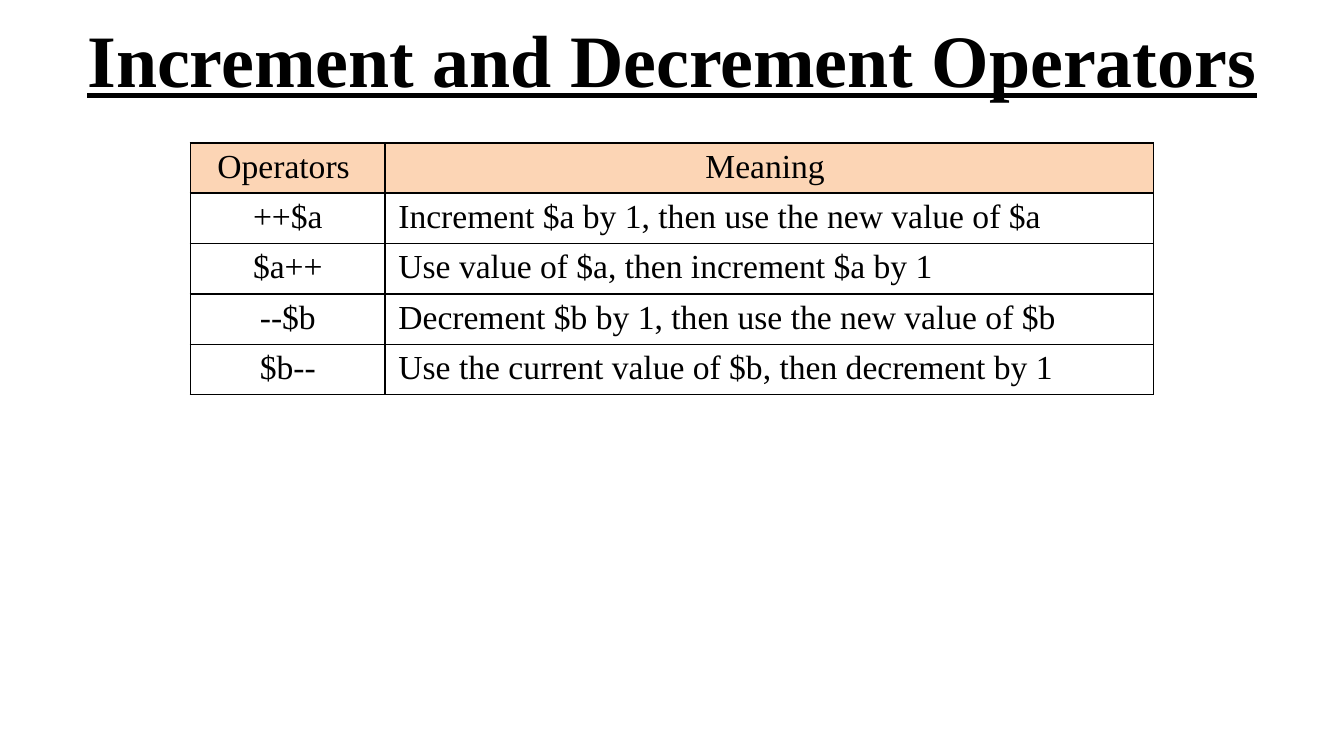
import lxml.etree
import pptx
import pptx.dml.color
import pptx.enum.text
import pptx.oxml.ns
import pptx.util

Cm = pptx.util.Cm
Pt = pptx.util.Pt
ALIGN = pptx.enum.text.PP_ALIGN
ANCHOR = pptx.enum.text.MSO_ANCHOR

BLACK = pptx.dml.color.RGBColor(0x00, 0x00, 0x00)
PEACH = pptx.dml.color.RGBColor(0xFC, 0xD5, 0xB5)
FONT = "Times New Roman"

HEADING = "Increment and Decrement Operators"
OPERATORS = [
    ("Operators ", "Meaning "),
    ("++$a", "Increment $a by 1, then use the new value of $a"),
    ("$a++", "Use value of $a, then increment $a by 1"),
    ("--$b", "Decrement $b by 1, then use the new value of $b"),
    ("$b--", "Use the current value of $b, then decrement by 1"),
]


def write(frame, text, size, align, bold=False, underline=False):
    frame.text = text
    paragraph = frame.paragraphs[0]
    paragraph.alignment = align
    font = paragraph.runs[0].font
    font.name = FONT
    font.size = Pt(size)
    font.bold = bold
    font.underline = underline
    font.color.rgb = BLACK


def add_borders(cell):
    properties = cell._tc.get_or_add_tcPr()
    qn = pptx.oxml.ns.qn
    for side in ("a:lnL", "a:lnR", "a:lnT", "a:lnB"):
        line = lxml.etree.SubElement(properties, qn(side), w=str(Pt(1)))
        fill = lxml.etree.SubElement(line, qn("a:solidFill"))
        lxml.etree.SubElement(fill, qn("a:srgbClr"), val=str(BLACK))


def place_heading(slide, left, top, width, height):
    heading = slide.shapes.title
    heading.left, heading.top = left, top
    heading.width, heading.height = width, height
    frame = heading.text_frame
    write(frame, HEADING, 39.6, ALIGN.CENTER, bold=True, underline=True)
    frame.word_wrap = True
    frame.auto_size = pptx.enum.text.MSO_AUTO_SIZE.NONE
    frame.vertical_anchor = ANCHOR.MIDDLE


def place_operators(slide, left, top, width, height):
    operators = slide.shapes.add_table(
        len(OPERATORS), 2, left, top, width, height
    ).table
    operators.first_row = False
    operators.horz_banding = False
    operators.columns[0].width = Cm(3.68)
    operators.columns[1].width = width - Cm(3.68)
    for row, entry in enumerate(OPERATORS):
        for column, text in enumerate(entry):
            cell = operators.cell(row, column)
            cell.margin_left = cell.margin_right = Cm(0.25)
            cell.margin_top = cell.margin_bottom = Cm(0.1)
            cell.vertical_anchor = ANCHOR.TOP
            centred = row == 0 or column == 0
            write(cell.text_frame, text, 18,
                  ALIGN.CENTER if centred else ALIGN.LEFT)
            add_borders(cell)
            if row == 0:
                cell.fill.solid()
                cell.fill.fore_color.rgb = PEACH
            else:
                cell.fill.background()


deck = pptx.Presentation()
deck.slide_width = Cm(25.4)
deck.slide_height = Cm(14.29)
slide = deck.slides.add_slide(deck.slide_layouts[5])
place_heading(slide, Cm(1.27), Cm(-0.1), Cm(22.86), Cm(2.38))
place_operators(slide, Cm(3.6), Cm(2.7), Cm(18.2), Cm(4.76))
deck.save("out.pptx")
